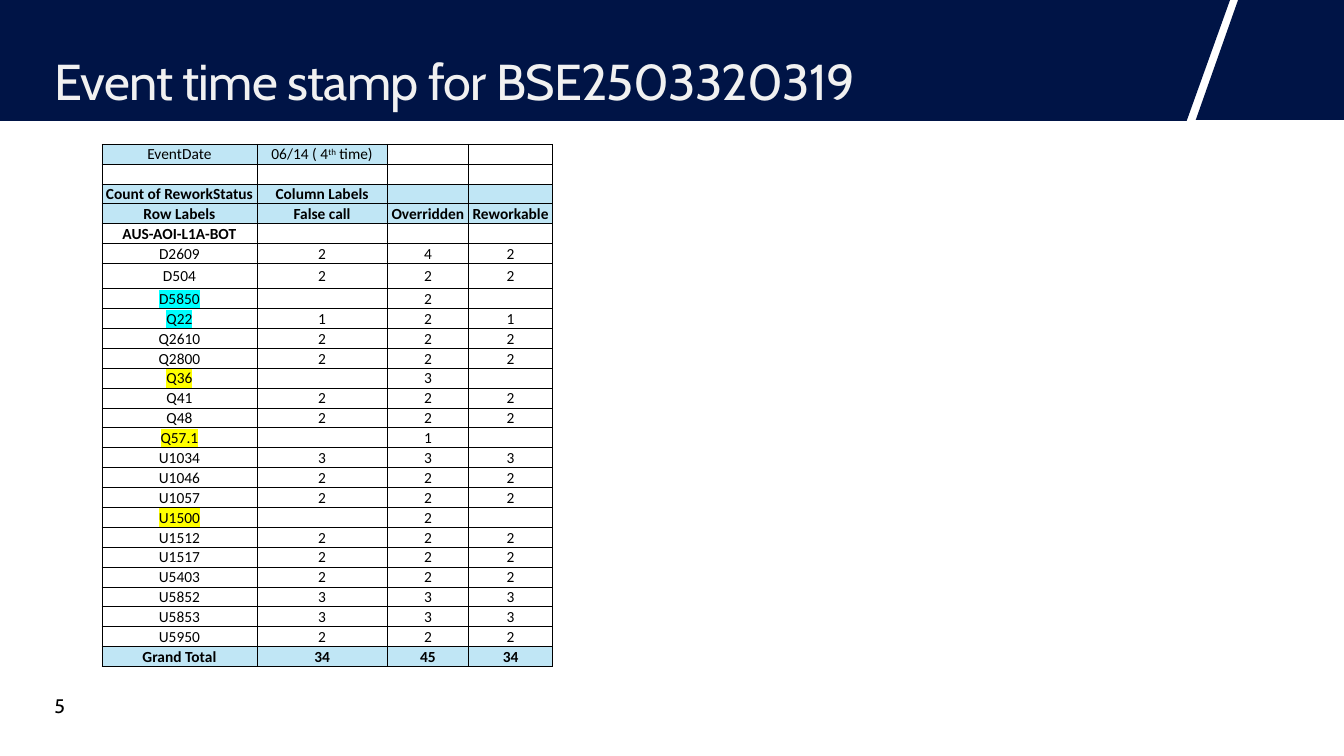
from lxml.etree import SubElement
from pptx import Presentation
from pptx.dml.color import RGBColor
from pptx.enum.shapes import MSO_SHAPE
from pptx.enum.text import MSO_ANCHOR, PP_ALIGN
from pptx.oxml.ns import qn
from pptx.util import Inches, Pt

COLORS = {
    "navy": "001446", "title": "F1F1F1", "text": "000000", "white": "FFFFFF",
    "header": "C0E6F5", "cyan": "00FFFF", "yellow": "FFFF00",
}

COLUMN_WIDTHS = [1.54, 1.29, 0.81, 0.83]
ROWS = [
    ("EventDate", ["06/14 ( 4", "th", " time)"], "", ""),
    ("", "", "", ""),
    ("Count of ReworkStatus", "Column Labels", "", ""),
    ("Row Labels", "False call", "Overridden", "Reworkable"),
    ("AUS-AOI-L1A-BOT", "", "", ""),
    ("D2609", "2", "4", "2"),
    ("D504", "2", "2", "2"),
    ("D5850", "", "2", ""),
    ("Q22", "1", "2", "1"),
    ("Q2610", "2", "2", "2"),
    ("Q2800", "2", "2", "2"),
    ("Q36", "", "3", ""),
    ("Q41", "2", "2", "2"),
    ("Q48", "2", "2", "2"),
    ("Q57.1", "", "1", ""),
    ("U1034", "3", "3", "3"),
    ("U1046", "2", "2", "2"),
    ("U1057", "2", "2", "2"),
    ("U1500", "", "2", ""),
    ("U1512", "2", "2", "2"),
    ("U1517", "2", "2", "2"),
    ("U5403", "2", "2", "2"),
    ("U5852", "3", "3", "3"),
    ("U5853", "3", "3", "3"),
    ("U5950", "2", "2", "2"),
    ("Grand Total", "34", "45", "34"),
]
HIGHLIGHTS = {"D5850": "cyan", "Q22": "cyan", "Q36": "yellow",
              "Q57.1": "yellow", "U1500": "yellow"}
SHADED_LABELS = {"Count of ReworkStatus", "Row Labels", "Grand Total"}
BOLD_LABELS = SHADED_LABELS | {"AUS-AOI-L1A-BOT"}


def rgb(name):
    return RGBColor.from_string(COLORS[name])


def add_text(p, text, font="Cabin", size=14, color="text", bold=False,
             highlight=None, spacing=None, superscript=False):
    r = p.add_run()
    r.text = text
    r.font.name, r.font.size, r.font.bold = font, Pt(size), bold
    r.font.color.rgb = rgb(color)
    rPr = r.font._element
    if highlight:
        mark = SubElement(rPr, qn("a:highlight"))
        SubElement(mark, qn("a:srgbClr"), val=COLORS[highlight])
        rPr.find(qn("a:solidFill")).addnext(mark)
    if spacing is not None:
        rPr.set("spc", str(int(spacing * 100)))
    if superscript:
        rPr.set("baseline", "30000")


class SlideBuilder:
    def __init__(self, slide):
        self.slide = slide
        self.table_font = {"font": "Calibri", "size": 11}

    def paint(self, sp):
        sp.fill.solid()
        sp.fill.fore_color.rgb = rgb("navy")
        sp.line.fill.background()
        sp.shadow.inherit = False

    def rect(self, x, y, w, h):
        self.paint(self.slide.shapes.add_shape(
            MSO_SHAPE.RECTANGLE, Inches(x), Inches(y), Inches(w), Inches(h)))

    def polygon(self, points):
        points = [(Inches(x), Inches(y)) for x, y in points]
        builder = self.slide.shapes.build_freeform(*points[0])
        builder.add_line_segments(points[1:], close=True)
        self.paint(builder.convert_to_shape())

    def text(self, x, y, w, h, text, line_spacing=None, **style):
        sp = self.slide.shapes.add_textbox(Inches(x), Inches(y), Inches(w), Inches(h))
        tf = sp.text_frame
        tf.word_wrap = True
        tf.vertical_anchor = MSO_ANCHOR.MIDDLE
        p = tf.paragraphs[0]
        p.line_spacing = line_spacing
        add_text(p, text, **style)

    def border(self, cell):
        tcPr = cell._tc.get_or_add_tcPr()
        for i, side in enumerate(("lnL", "lnR", "lnT", "lnB")):
            ln = tcPr.makeelement(qn(f"a:{side}"), {"w": str(Pt(0.5))})
            fill = SubElement(ln, qn("a:solidFill"))
            SubElement(fill, qn("a:srgbClr"), val=COLORS["text"])
            tcPr.insert(i, ln)

    def cell(self, cell, content, fill, bold, highlight):
        cell.margin_left = cell.margin_right = cell.margin_top = Inches(0.01)
        cell.margin_bottom = 0
        cell.vertical_anchor = MSO_ANCHOR.MIDDLE
        cell.fill.solid()
        cell.fill.fore_color.rgb = rgb(fill)
        self.border(cell)
        p = cell.text_frame.paragraphs[0]
        p.alignment = PP_ALIGN.CENTER
        if not content:
            SubElement(p._p, qn("a:endParaRPr"), sz=str(self.table_font["size"] * 100))
            return
        parts = [content] if isinstance(content, str) else content
        for i, part in enumerate(parts):
            add_text(p, part, bold=bold, highlight=highlight,
                     superscript=i == 1, **self.table_font)

    def table(self, x, y, h, tall_row, tall_height):
        frame = self.slide.shapes.add_table(
            len(ROWS), len(COLUMN_WIDTHS), Inches(x), Inches(y),
            Inches(sum(COLUMN_WIDTHS)), Inches(h))
        table = frame.table
        table.first_row = table.horz_banding = False
        for column, width in zip(table.columns, COLUMN_WIDTHS):
            column.width = Inches(width)
        row_height = (h - tall_height) / (len(ROWS) - 1)
        for i, row in enumerate(ROWS):
            label = row[0]
            table.rows[i].height = Inches(tall_height if label == tall_row else row_height)
            for j, content in enumerate(row):
                shaded = label in SHADED_LABELS or (i == 0 and content)
                self.cell(table.cell(i, j), content,
                          "header" if shaded else "white", label in BOLD_LABELS,
                          HIGHLIGHTS.get(label) if j == 0 else None)


def main():
    prs = Presentation()
    prs.slide_width, prs.slide_height = Inches(13.33), Inches(7.5)
    s = SlideBuilder(prs.slides.add_slide(prs.slide_layouts[6]))
    s.rect(0, 0, 10.7, 1.2)
    s.polygon([(11.77, 1.2), (12.2, 0), (10.7, 0), (10.7, 1.2)])
    s.polygon([(12.28, 0), (11.86, 1.19), (13.33, 1.19), (13.33, 0)])
    s.text(0.44, 0.47, 10.91, 0.72, "Event time stamp for BSE2503320319",
           line_spacing=0.9, size=36, color="title", spacing=-0.6)
    s.text(0.44, 6.8, 0.56, 0.4, "5")
    s.table(1.01, 1.43, 5.19, tall_row="D504", tall_height=0.25)
    prs.save("out.pptx")


if __name__ == "__main__":
    main()
